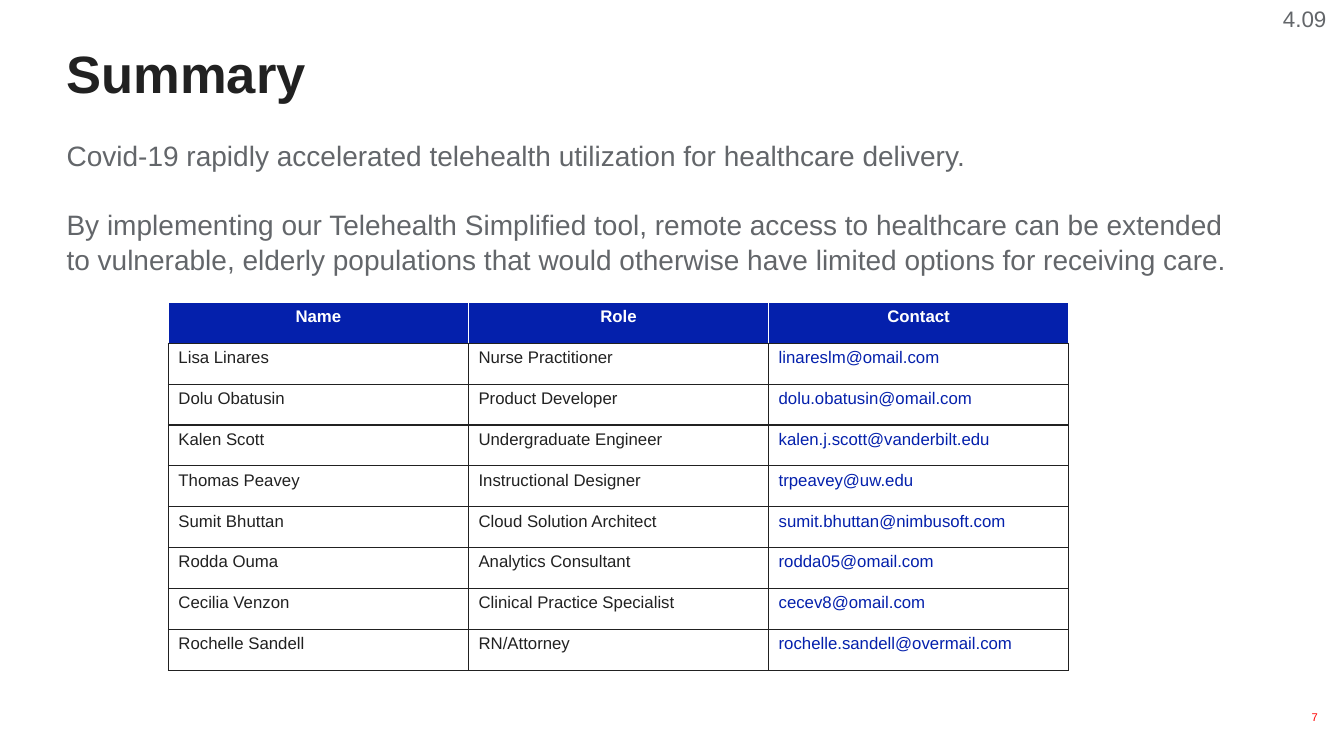
from dataclasses import dataclass

from lxml import etree
from pptx import Presentation
from pptx.dml.color import RGBColor
from pptx.enum.text import MSO_ANCHOR, MSO_AUTO_SIZE, PP_ALIGN
from pptx.oxml.ns import qn
from pptx.util import Inches, Pt

LEFT, CENTER, RIGHT = PP_ALIGN.LEFT, PP_ALIGN.CENTER, PP_ALIGN.RIGHT
TOP, MIDDLE = MSO_ANCHOR.TOP, MSO_ANCHOR.MIDDLE

TITLE = "Summary"
STATEMENTS = [
    "Covid-19 rapidly accelerated telehealth utilization for healthcare delivery.",
    "By implementing our Telehealth Simplified tool, remote access to healthcare can be "
    "extended to vulnerable, elderly populations that would otherwise have limited "
    "options for receiving care.",
]
HEADINGS = ("Name", "Role", "Contact")
TEAM = [
    ("Lisa Linares", "Nurse Practitioner", "linareslm@omail.com"),
    ("Dolu Obatusin", "Product Developer", "dolu.obatusin@omail.com"),
    ("Kalen Scott", "Undergraduate Engineer", "kalen.j.scott@vanderbilt.edu"),
    ("Thomas Peavey", "Instructional Designer", "trpeavey@uw.edu"),
    ("Sumit Bhuttan", "Cloud Solution Architect", "sumit.bhuttan@nimbusoft.com"),
    ("Rodda Ouma", "Analytics Consultant", "rodda05@omail.com"),
    ("Cecilia Venzon", "Clinical Practice Specialist", "cecev8@omail.com"),
    ("Rochelle Sandell", "RN/Attorney", "rochelle.sandell@overmail.com"),
]
TIMING = "4.09"
PAGE_NUMBER = "7"


@dataclass(frozen=True)
class Theme:
    font: str = "Arial"
    ink: str = "212121"
    gray: str = "63666A"
    blue: str = "0420AC"
    red: str = "FF0000"
    white: str = "FFFFFF"
    title_size: float = 37.5
    body_size: float = 20
    timing_size: float = 16
    table_size: float = 12
    number_size: float = 8


THEME = Theme()


def add_span(para, text, size, color, bold=False, align=LEFT):
    para.alignment = align
    span = para.add_run()
    span.text = text
    font = span.font
    font.name, font.size, font.bold = THEME.font, Pt(size), bold
    font.color.rgb = RGBColor.from_string(color)


def place(shape, left, top, width, height):
    shape.left, shape.top = Inches(left), Inches(top)
    shape.width, shape.height = Inches(width), Inches(height)


def set_frame(frame, anchor, insets, wrap=True):
    """Insets are left, top, right, bottom in inches."""
    frame.auto_size = MSO_AUTO_SIZE.NONE
    frame.word_wrap = wrap
    frame.vertical_anchor = anchor
    (frame.margin_left, frame.margin_top,
     frame.margin_right, frame.margin_bottom) = map(Inches, insets)


def remove_bullet(para):
    props = para._p.get_or_add_pPr()
    props.set("marL", "0")
    props.set("indent", "0")
    etree.SubElement(props, qn("a:buNone"))


def add_border(cell, side, color):
    line = etree.SubElement(cell._tc.get_or_add_tcPr(), qn(f"a:ln{side}"), w=str(Pt(1)))
    fill = etree.SubElement(line, qn("a:solidFill"))
    etree.SubElement(fill, qn("a:srgbClr"), val=color)


def add_title(page):
    title = page.shapes.title
    place(title, 0.66, 0.41, 11.1, 0.63)
    set_frame(title.text_frame, TOP, (0, 0, 0, 0))
    add_span(title.text_frame.paragraphs[0], TITLE, THEME.title_size, THEME.ink, bold=True)


def add_statements(page):
    body = page.placeholders[1]
    place(body, 0.66, 1.36, 11.75, 1.51)
    frame = body.text_frame
    set_frame(frame, TOP, (0, 0, 0, 0))
    for index, text in enumerate(STATEMENTS):
        para = frame.add_paragraph() if index else frame.paragraphs[0]
        remove_bullet(para)
        para.line_spacing = 1.05
        para.space_before = Pt(24 if index else 0)
        add_span(para, text, THEME.body_size, THEME.gray)


def add_team_table(page):
    rows = [HEADINGS, *TEAM]
    table = page.shapes.add_table(
        len(rows), len(HEADINGS), Inches(1.67), Inches(3), Inches(8.93), Inches(3.65)
    ).table
    for row, texts in enumerate(rows):
        header = row == 0
        for column, text in enumerate(texts):
            cell = table.cell(row, column)
            edge = THEME.white if header else THEME.ink
            for side in "LRT":
                add_border(cell, side, THEME.ink if side == "T" and row == 1 else edge)
            add_border(cell, "B", THEME.ink)
            cell.fill.solid()
            cell.fill.fore_color.rgb = RGBColor.from_string(
                THEME.blue if header else THEME.white)
            is_contact = column == len(HEADINGS) - 1
            color = THEME.white if header else THEME.blue if is_contact else THEME.ink
            add_span(cell.text_frame.paragraphs[0], text, THEME.table_size, color,
                     bold=header, align=CENTER if header else LEFT)


def add_label(page, text, area, insets, anchor, size, color, align, wrap=True):
    box = page.shapes.add_textbox(*map(Inches, area))
    set_frame(box.text_frame, anchor, insets, wrap)
    add_span(box.text_frame.paragraphs[0], text, size, color, align=align)


def main():
    deck = Presentation()
    deck.slide_width, deck.slide_height = Inches(13.33), Inches(7.5)
    page = deck.slides.add_slide(deck.slide_layouts[1])
    add_title(page)
    add_statements(page)
    add_label(page, PAGE_NUMBER, (12.67, 6.93, 0.5, 0.36), (0.1, 0.05, 0.1, 0.05),
              MIDDLE, THEME.number_size, THEME.red, RIGHT)
    add_team_table(page)
    add_label(page, TIMING, (12.67, 0, 0.64, 0.37), (0.05, 0.05, 0.15, 0.05),
              TOP, THEME.timing_size, THEME.gray, CENTER, wrap=False)
    deck.save("out.pptx")


if __name__ == "__main__":
    main()
